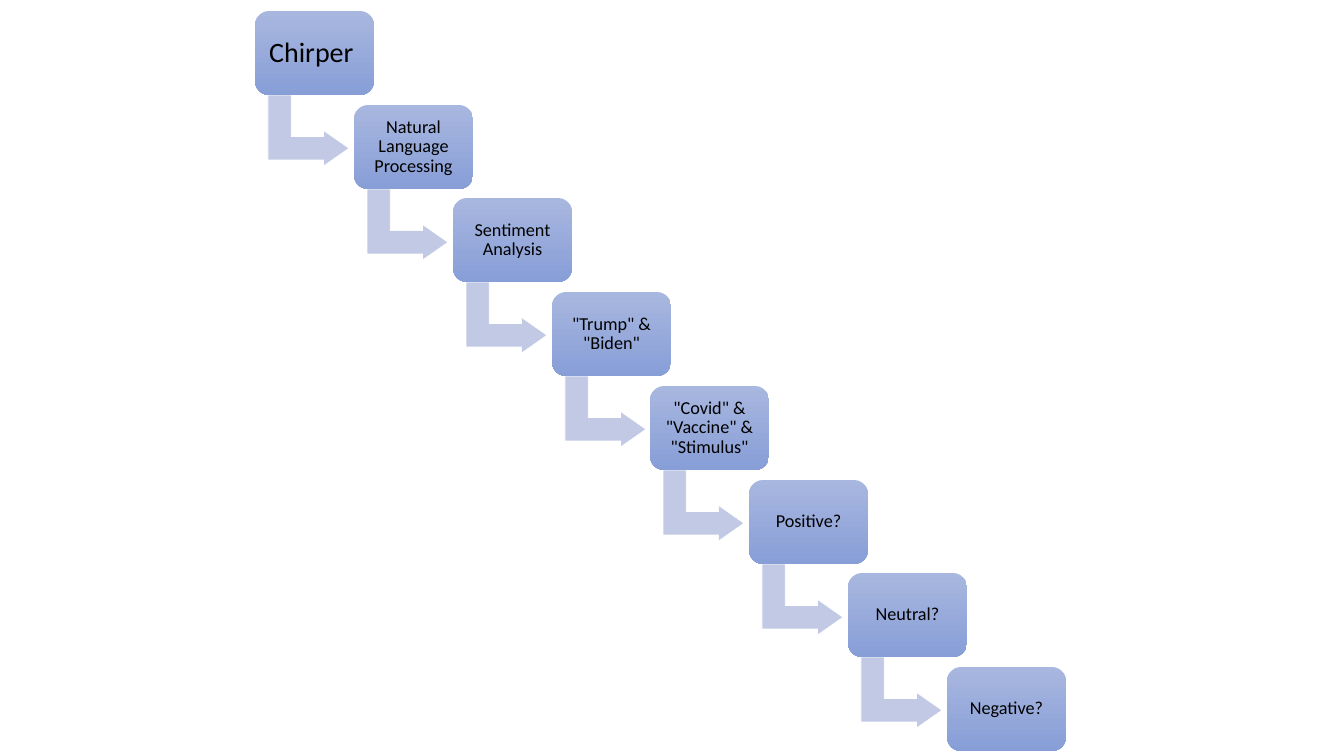
from pptx import Presentation
from pptx import util as u
from pptx.dml.color import RGBColor
from pptx.enum import shapes, text

COLORS = {
    "box_top": "A8B7DF",
    "box_bottom": "889ED7",
    "arrow": "C1C9E4",
    "arrow_edge": "FFFFFF",
    "text": "000000",
}
STEPS = [
    "Chirper ",
    "Natural Language Processing",
    "Sentiment Analysis",
    '"Trump" & "Biden"',
    '"Covid" & "Vaccine" & "Stimulus"',
    "Positive?",
    "Neutral?",
    "Negative?",
]
BOX_WIDTH, BOX_HEIGHT = 119, 84


def px(length):
    return u.Emu(round(length * 914400 / 100.8))


def color(name):
    return RGBColor.from_string(COLORS[name])


def add_preset(page, kind, left, top, width, height, adjustments):
    shape = page.shapes.add_shape(kind, px(left), px(top), px(width), px(height))
    shape.shadow.inherit = False
    for index, value in enumerate(adjustments):
        shape.adjustments[index] = value
    return shape


def write(shape, wording, size, inset):
    frame = shape.text_frame
    frame.word_wrap = True
    frame.vertical_anchor = text.MSO_ANCHOR.MIDDLE
    frame.margin_left = frame.margin_right = px(inset)
    frame.margin_top = frame.margin_bottom = px(inset)
    para = frame.paragraphs[0]
    para.alignment = text.PP_ALIGN.CENTER
    para.line_spacing = 0.9
    span = para.add_run()
    span.text = wording
    span.font.name = "Calibri"
    span.font.size = u.Pt(size)
    span.font.color.rgb = color("text")


def add_arrow(page, left, top):
    """Place the bent arrow that leaves the step box at left, top."""
    arrow = add_preset(page, shapes.MSO_SHAPE.BENT_UP_ARROW,
                       left + 18, top + 79, 71, 81, [0.328, 0.25, 0.358])
    arrow.rotation = 90
    arrow.fill.solid()
    arrow.fill.fore_color.rgb = color("arrow")
    arrow.line.color.rgb = color("arrow_edge")
    arrow.line.width = u.Pt(0.5)


def add_step(page, left, top, wording, size=13, inset=5):
    box = add_preset(page, shapes.MSO_SHAPE.ROUNDED_RECTANGLE,
                     left, top, BOX_WIDTH, BOX_HEIGHT, [0.167])
    box.fill.gradient()
    box.fill.gradient_angle = 270
    for stop, name in zip(box.fill.gradient_stops, ("box_top", "box_bottom")):
        stop.color.rgb = color(name)
    box.line.fill.background()
    write(box, wording, size, inset)


def add_staircase(page, left, top, width, height):
    """Spread the steps evenly from the top left to the bottom right."""
    last = len(STEPS) - 1
    for index, wording in enumerate(STEPS):
        step_left = left + round(index * (width - BOX_WIDTH) / last)
        step_top = top + round(index * (height - BOX_HEIGHT) / last)
        if index < last:
            add_arrow(page, step_left, step_top)
        first_format = {"size": 20, "inset": 8} if index == 0 else {}
        add_step(page, step_left, step_top, wording, **first_format)


def main():
    deck = Presentation()
    deck.slide_width, deck.slide_height = px(1344), px(756)
    page = deck.slides.add_slide(deck.slide_layouts[6])
    add_staircase(page, 255, 11, 811, 740)
    deck.save("out.pptx")


if __name__ == "__main__":
    main()
